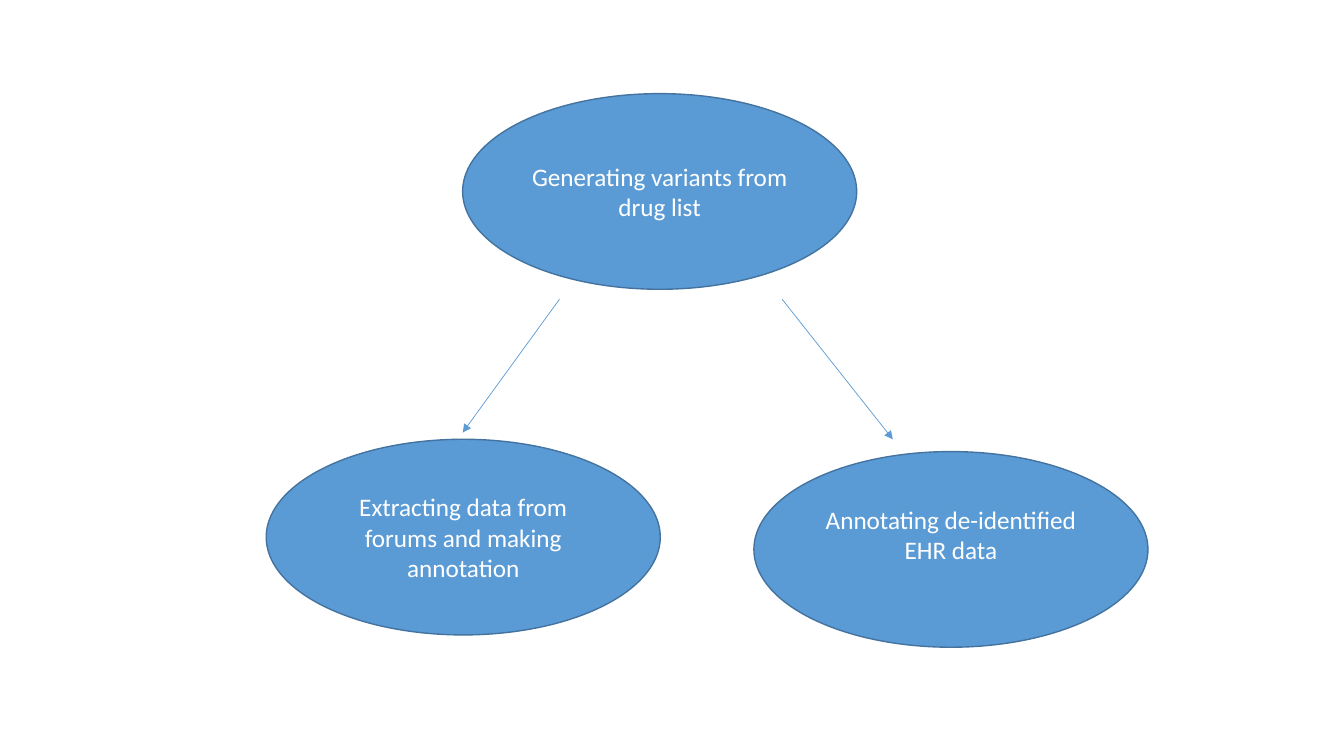
from lxml import etree
from pptx import Presentation
from pptx.dml.color import RGBColor
from pptx.enum.shapes import MSO_CONNECTOR, MSO_SHAPE
from pptx.enum.text import MSO_ANCHOR, PP_ALIGN
from pptx.oxml.ns import qn
from pptx.util import Cm, Pt

ELLIPSE = MSO_SHAPE.OVAL
STRAIGHT = MSO_CONNECTOR.STRAIGHT
MIDDLE = MSO_ANCHOR.MIDDLE
CENTER = PP_ALIGN.CENTER

BLUE, DARK_BLUE, WHITE = "5B9BD5", "43739E", "FFFFFF"
STEP_W, STEP_H = 9.93, 4.93


def paint(color_format, color):
    color_format.rgb = RGBColor.from_string(color)


prs = Presentation()
prs.slide_width, prs.slide_height = Cm(33.87), Cm(19.05)
s = prs.slides.add_slide(prs.slide_layouts[6])

# Arrows from the first step to the two that follow: x1, y1, x2, y2
for ends in [(14.1, 7.54, 11.66, 10.9), (19.71, 7.54, 22.5, 11.07)]:
    arrow = s.shapes.add_connector(STRAIGHT, *[Cm(v) for v in ends])
    paint(arrow.line.color, BLUE)
    arrow.line.width = Pt(0.5)
    etree.SubElement(arrow.line._get_or_add_ln(), qn("a:tailEnd"), type="triangle")
    etree.SubElement(arrow._element.spPr, qn("a:effectLst"))

# Steps: left, top, bottom margin, text
steps = [
    (19.0, 11.38, 0.89, "Annotating de-identified EHR data"),
    (6.71, 11.07, 0.13, "Extracting data from forums and making annotation"),
    (11.66, 2.36, 0.13, "Generating variants from drug list"),
]
for left, top, bottom_margin, text in steps:
    sp = s.shapes.add_shape(ELLIPSE, Cm(left), Cm(top), Cm(STEP_W), Cm(STEP_H))
    sp.shadow.inherit = False
    sp.fill.solid()
    paint(sp.fill.fore_color, BLUE)
    paint(sp.line.color, DARK_BLUE)
    sp.line.width = Pt(1)

    tf = sp.text_frame
    tf.word_wrap = True
    tf.vertical_anchor = MIDDLE
    tf.margin_bottom = Cm(bottom_margin)
    p = tf.paragraphs[0]
    p.alignment = CENTER
    r = p.add_run()
    r.text = text
    r.font.name = "Calibri"
    r.font.size = Pt(18)
    paint(r.font.color, WHITE)

prs.save("out.pptx")
